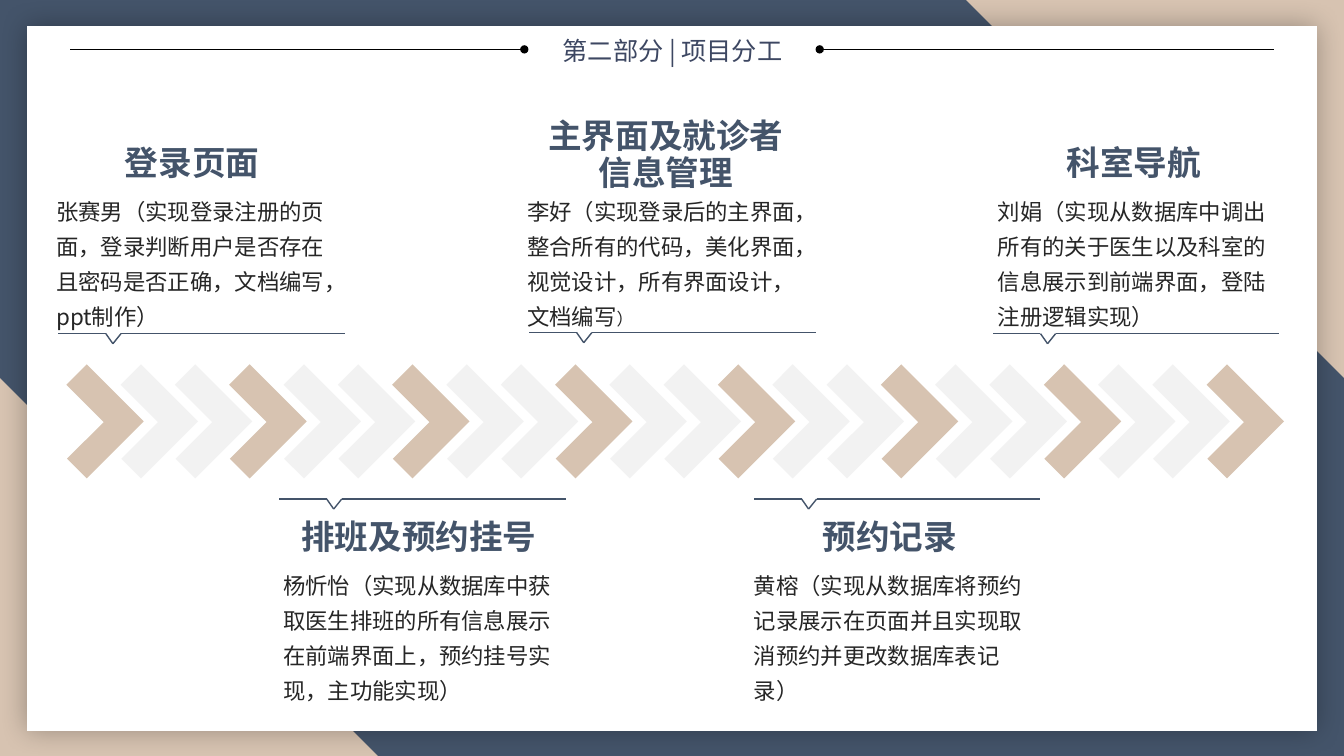
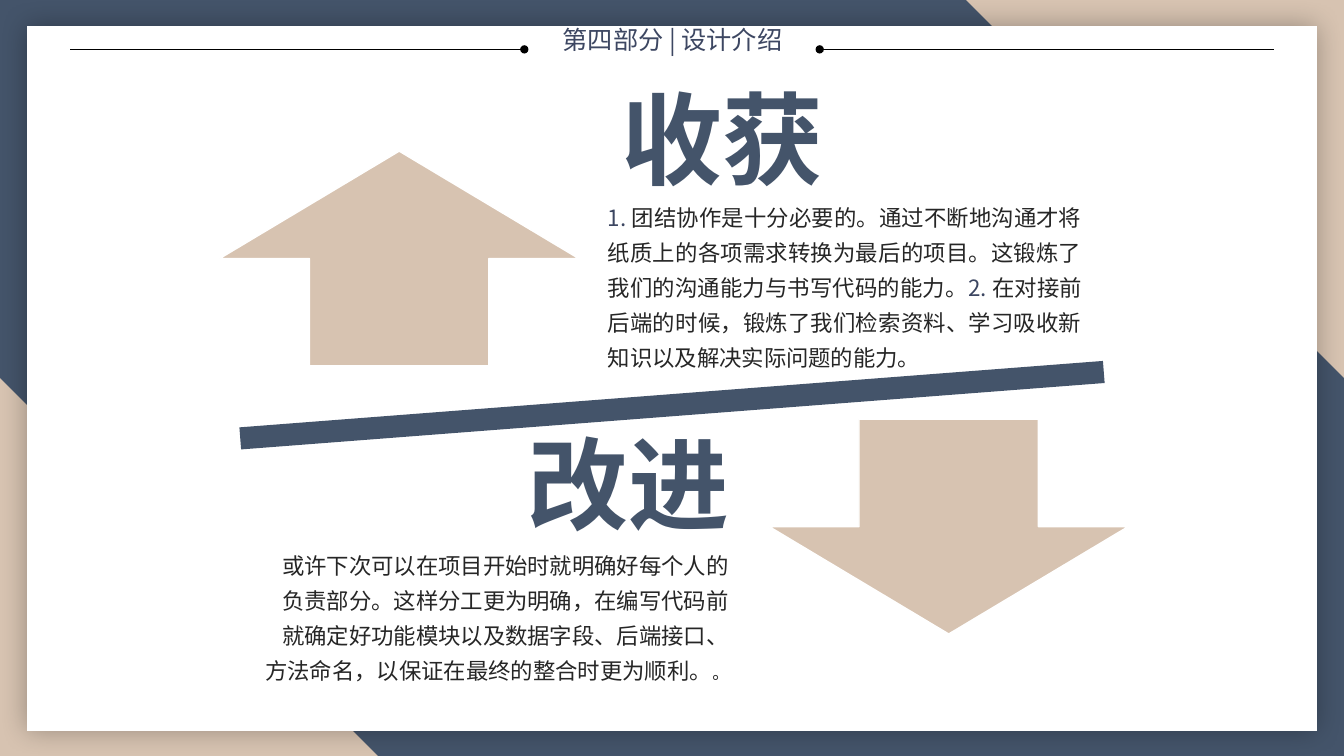
"""Build the two project slides: division of work, and gains and improvements."""
import dataclasses

import lxml.etree
import pptx
import pptx.dml.color
import pptx.enum.shapes
import pptx.enum.text
import pptx.oxml.ns
import pptx.util

Inches = pptx.util.Inches
qn = pptx.oxml.ns.qn
SHAPE = pptx.enum.shapes.MSO_SHAPE
STRAIGHT = pptx.enum.shapes.MSO_CONNECTOR.STRAIGHT
ALIGN = pptx.enum.text.PP_ALIGN
ANCHOR = pptx.enum.text.MSO_ANCHOR
AUTO_SIZE = pptx.enum.text.MSO_AUTO_SIZE


@dataclasses.dataclass(frozen=True)
class Theme:
    font: str = "Noto Sans CJK SC"
    navy: str = "44546A"
    sand: str = "D7C3B1"
    pale: str = "F2F2F2"
    white: str = "FFFFFF"
    black: str = "000000"
    body: str = "262626"
    title: str = "3D4762"
    number: str = "3C4661"
    title_size: int = 18
    heading_size: int = 24
    body_size: int = 16
    small_size: int = 12
    display_size: int = 72


theme = Theme()


def style_shape(shape, fill=None, line=None, width=1):
    """Set fill and line, and return the shape's emptied effect list."""
    if fill:
        shape.fill.solid()
        shape.fill.fore_color.rgb = pptx.dml.color.RGBColor.from_string(fill)
    if line:
        shape.line.color.rgb = pptx.dml.color.RGBColor.from_string(line)
        shape.line.width = pptx.util.Pt(width)
    else:
        shape.line.fill.background()
    return lxml.etree.SubElement(shape.element.spPr, qn("a:effectLst"))


def add_text(slide, box, runs, align=ALIGN.LEFT, spacing=1.0, bold=False, wrap=True, anchor=ANCHOR.TOP):
    """Add a one-paragraph text box from (text, size, colour) runs."""
    shape = slide.shapes.add_textbox(*map(Inches, box))
    frame = shape.text_frame
    frame.word_wrap = wrap
    frame.vertical_anchor = anchor
    frame.auto_size = AUTO_SIZE.SHAPE_TO_FIT_TEXT
    paragraph = frame.paragraphs[0]
    paragraph.alignment = align
    paragraph.line_spacing = spacing
    for text, size, color in runs:
        run = paragraph.add_run()
        run.text = text
        run.font.size = pptx.util.Pt(size)
        run.font.bold = bold
        run.font.color.rgb = pptx.dml.color.RGBColor.from_string(color)
        run.font.name = theme.font
        east_asian = lxml.etree.SubElement(run.font._element, qn("a:ea"))
        east_asian.set("typeface", theme.font)


presentation = pptx.Presentation()
presentation.slide_width = Inches(13.33)
presentation.slide_height = Inches(7.5)
layout = presentation.slide_layouts[6]
for placeholder in list(layout.placeholders):
    placeholder.element.getparent().remove(placeholder.element)
background = presentation.slide_master.background.fill
background.solid()
background.fore_color.rgb = pptx.dml.color.RGBColor.from_string(theme.sand)

work_slide = presentation.slides.add_slide(layout)
review_slide = presentation.slides.add_slide(layout)

backdrop = work_slide.shapes.add_shape(
    SHAPE.SNIP_2_DIAG_RECTANGLE, 0, 0, presentation.slide_width, presentation.slide_height)
backdrop.adjustments[0] = 0
backdrop.adjustments[1] = 0.5
style_shape(backdrop, theme.navy)

panel = work_slide.shapes.add_shape(
    SHAPE.RECTANGLE, Inches(0.27), Inches(0.26), Inches(12.79), Inches(6.99))
effects = style_shape(panel, theme.white)
shadow = lxml.etree.SubElement(effects, qn("a:outerShdw"), blurRad=str(pptx.util.Pt(20)), dist="0", dir="0")
shadow_color = lxml.etree.SubElement(shadow, qn("a:srgbClr"), val=theme.black)
lxml.etree.SubElement(shadow_color, qn("a:alpha"), val="30000")

for inner, outer in ((5.2, 0.69), (8.13, 12.64)):
    rule = work_slide.shapes.add_connector(
        STRAIGHT, Inches(inner), Inches(0.49), Inches(outer), Inches(0.49))
    style_shape(rule, line=theme.black, width=0.5)
    lxml.etree.SubElement(rule.element.spPr.find(qn("a:ln")), qn("a:headEnd"), type="oval")

for shape in list(work_slide.shapes):
    layout.shapes.element.append(shape.element)

for slide, top, title in (
    (work_slide, 0.29, "第二部分 | 项目分工"),
    (review_slide, 0.19, "第四部分 | 设计介绍"),
):
    add_text(slide, (5.34, top, 2.66, 0.41), [(title, theme.title_size, theme.title)],
             ALIGN.CENTER, anchor=ANCHOR.MIDDLE)

tasks = (
    ((0.46, 1.4, 2.89, 0.46), "登录页面", (0.46, 1.84),
     "张赛男（实现登录注册的页面，登录判断用户是否存在且密码是否正确，文档编写，ppt制作）", "", (0.58, 3.31)),
    ((5.19, 1.14, 2.83, 0.83), "主界面及就诊者信息管理", (5.13, 1.84),
     "李好（实现登录后的主界面，整合所有的代码，美化界面，视觉设计，所有界面设计，文档编写", "）", (5.25, 3.3)),
    ((9.8, 1.4, 2.89, 0.46), "科室导航", (9.8, 1.84),
     "刘娟（实现从数据库中调出所有的关于医生以及科室的信息展示到前端界面，登陆注册逻辑实现）", "", (9.85, 3.31)),
    ((2.71, 5.11, 2.89, 0.46), "排班及预约挂号", (2.71, 5.55),
     "杨忻怡（实现从数据库中获取医生排班的所有信息展示在前端界面上，预约挂号实现，主功能实现）", "", (2.77, 4.95)),
    ((7.38, 5.11, 2.89, 0.46), "预约记录", (7.38, 5.55),
     "黄榕（实现从数据库将预约记录展示在页面并且实现取消预约并更改数据库表记录）", "", (7.48, 4.95)),
)
marker_points = ((0, 0), (0.47, 0), (0.54, 0.1), (0.62, 0), (2.84, 0))
for heading_box, heading, (body_left, body_top), body, small_end, (left, top) in tasks:
    add_text(work_slide, heading_box, [(heading, theme.heading_size, theme.navy)],
             ALIGN.CENTER, 0.9, bold=True)
    body_runs = [(body, theme.body_size, theme.body)]
    if small_end:
        body_runs.append((small_end, theme.small_size, theme.body))
    add_text(work_slide, (body_left, body_top, 3.07, 1.47), body_runs, spacing=1.3)
    for (start_x, start_y), (end_x, end_y) in zip(marker_points, marker_points[1:]):
        segment = work_slide.shapes.add_connector(
            STRAIGHT, Inches(left + start_x), Inches(top + start_y),
            Inches(left + end_x), Inches(top + end_y))
        style_shape(segment, line=theme.navy)

chevron_count = 22
chevron_step = (11.77 - 0.46) / (chevron_count - 1)
for index in range(chevron_count):
    chevron = work_slide.shapes.add_shape(
        SHAPE.CORNER, Inches(0.46 + index * chevron_step), Inches(3.78), Inches(0.8), Inches(0.8))
    chevron.adjustments[0] = 0.357
    chevron.adjustments[1] = 0.345
    chevron.rotation = 225
    style_shape(chevron, theme.pale if index % 3 else theme.sand)

for preset, left, top in ((SHAPE.UP_ARROW, 2.18, 1.5), (SHAPE.DOWN_ARROW, 7.63, 4.16)):
    arrow = review_slide.shapes.add_shape(preset, Inches(left), Inches(top), Inches(3.56), Inches(2.13))
    style_shape(arrow, theme.sand, theme.white)

divider = review_slide.shapes.add_shape(
    SHAPE.RECTANGLE, Inches(2.37), Inches(3.91), Inches(8.59), Inches(0.22))
divider.rotation = 355.6
style_shape(divider, theme.navy)

add_text(review_slide, (5.93, 1.9, 4.9, 1.82), [
    ("1. ", theme.body_size, theme.number),
    ("团结协作是十分必要的。通过不断地沟通才将纸质上的各项需求转换为最后的项目。这锻炼了我们的沟通能力与书写代码的能力。",
     theme.body_size, theme.body),
    ("2. ", theme.body_size, theme.number),
    ("在对接前后端的时候，锻炼了我们检索资料、学习吸收新知识以及解决实际问题的能力。", theme.body_size, theme.body),
], ALIGN.JUSTIFY, 1.3)
add_text(review_slide, (2.53, 5.35, 4.8, 1.47), [
    ("或许下次可以在项目开始时就明确好每个人的负责部分。这样分工更为明确，在编写代码前就确定好功能模块以及数据字段、后端接口、方法命名，以保证在最终的整合时更为顺利。",
     theme.body_size, theme.body),
    ("。", theme.small_size, theme.body),
], ALIGN.RIGHT, 1.3)
for left, top, word, align in ((6.07, 0.71, "收获", ALIGN.LEFT), (5.11, 4.13, "改进", ALIGN.RIGHT)):
    add_text(review_slide, (left, top, 2.22, 1.31), [(word, theme.display_size, theme.navy)],
             align, bold=True, wrap=False)

presentation.save("out.pptx")
